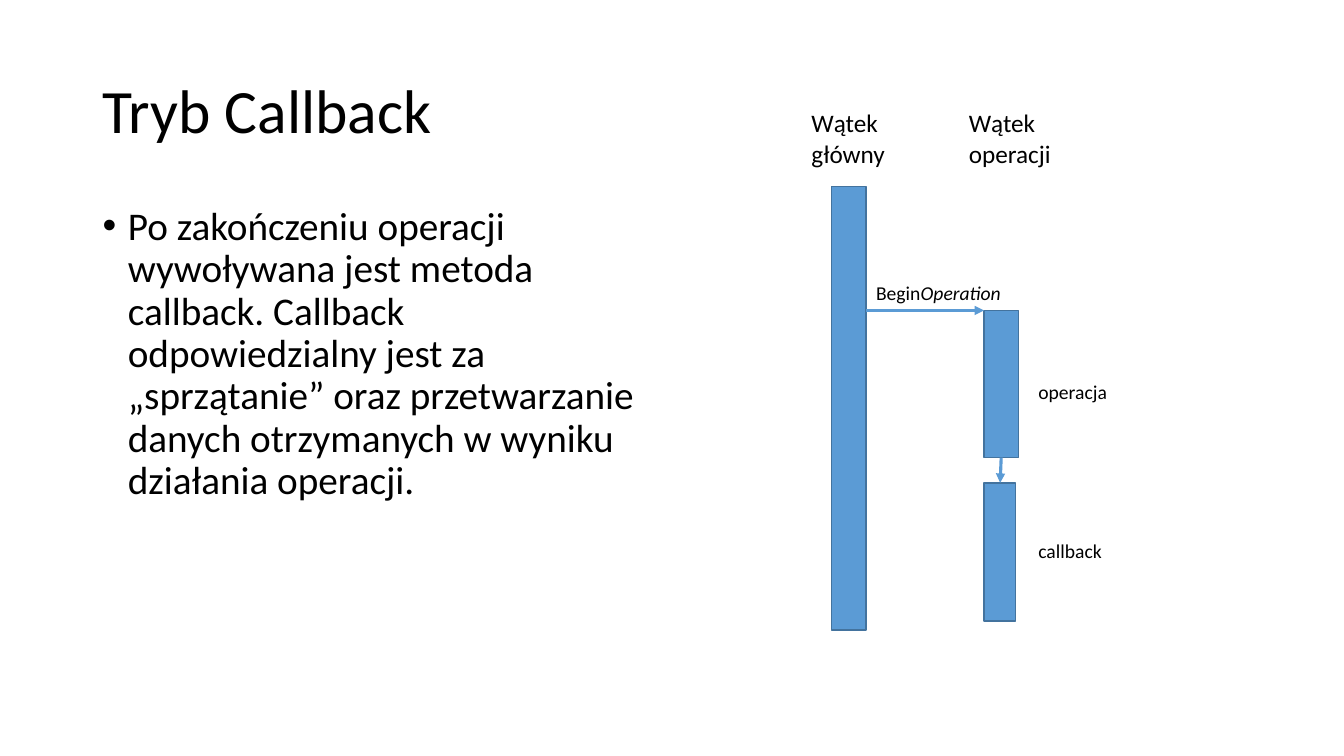
import pptx
import pptx.util
import pptx.dml.color
import pptx.enum.shapes
import pptx.enum.text
import pptx.oxml.ns
import pptx.oxml.xmlchemy
from dataclasses import dataclass

PX = 9144


@dataclass(frozen=True)
class Theme:
    font: str = "Calibri"
    ink: str = "000000"
    fill: str = "5B9BD5"
    edge: str = "43739E"
    title: int = 44
    body: int = 28
    head: int = 18
    label: int = 14
    thin: float = 1
    thick: float = 2.25


theme = Theme()


def px(*nums):
    return [pptx.util.Emu(n * PX) for n in nums]


def color(code):
    return pptx.dml.color.RGBColor.from_string(code)


def node(tag, **attrs):
    part = pptx.oxml.xmlchemy.OxmlElement(tag)
    for key, value in attrs.items():
        part.set(key, value)
    return part


def text(slide, box, lines, size, wrap=True):
    frame = slide.shapes.add_textbox(*px(*box)).text_frame
    frame.word_wrap = wrap
    for i, line in enumerate(lines):
        para = frame.add_paragraph() if i else frame.paragraphs[0]
        for words, slant in line:
            run = para.add_run()
            run.text = words
            run.font.name = theme.font
            run.font.size = pptx.util.Pt(size)
            run.font.color.rgb = color(theme.ink)
            if slant:
                run.font.italic = True
    return frame


def plain(*lines):
    return [[(line, False)] for line in lines]


def bar(slide, box):
    kind = pptx.enum.shapes.MSO_SHAPE.RECTANGLE
    shape = slide.shapes.add_shape(kind, *px(*box))
    shape.shadow.inherit = False
    shape.fill.solid()
    shape.fill.fore_color.rgb = color(theme.fill)
    shape.line.color.rgb = color(theme.edge)
    shape.line.width = pptx.util.Pt(theme.thin)


def arrow(slide, start, end):
    kind = pptx.enum.shapes.MSO_CONNECTOR.STRAIGHT
    line = slide.shapes.add_connector(kind, *px(*start, *end))
    line.line.color.rgb = color(theme.fill)
    line.line.width = pptx.util.Pt(theme.thick)
    props = line._element.spPr
    props.find(pptx.oxml.ns.qn("a:ln")).append(node("a:tailEnd", type="triangle"))
    props.append(node("a:effectLst"))


def title(slide, box, words):
    frame = text(slide, box, plain(words), theme.title)
    frame.vertical_anchor = pptx.enum.text.MSO_ANCHOR.MIDDLE
    frame.paragraphs[0].line_spacing = 0.9


def body(slide, box, words):
    frame = text(slide, box, plain(words), theme.body)
    para = frame.paragraphs[0]
    para.line_spacing = 0.9
    para.space_before = pptx.util.Pt(10)
    props = para._p.get_or_add_pPr()
    indent = px(25)[0]
    props.set("marL", str(indent))
    props.set("indent", str(-indent))
    props.append(node("a:buFont", typeface="Arial"))
    props.append(node("a:buChar", char="•"))


def diagram(slide, box):
    x, y, w, h = box
    main = x + 30
    work = x + 181
    thick = 34
    begin = y + 206
    done = begin + 146
    back = done + 25
    side = x + 225

    bar(slide, (main, y + 83, thick, h - 83))
    bar(slide, (work, begin, thick, done - begin))
    arrow(slide, (main + thick, begin), (work, begin))
    bar(slide, (work, back, 31, 137))
    arrow(slide, (work + 17, done), (work + 16, back))

    call = [[("Begin", False), ("Operation", True)]]
    text(slide, (main + thick, begin - 34, 145, 34), call, theme.label, False)
    text(slide, (x, y, 94, 71), plain("Wątek", "główny"), theme.head, False)
    text(slide, (x + 156, y, 108, 71), plain("Wątek operacji"), theme.head)
    wide = x + w - side
    for words, top, width in (("operacja", begin + 64, wide), ("callback", back + 51, wide - 5)):
        text(slide, (side, top, width, 34), plain(words), theme.label, False)


def main():
    deck = pptx.Presentation()
    deck.slide_width, deck.slide_height = px(1333, 750)
    slide = deck.slides.add_slide(deck.slide_layouts[6])
    title(slide, (92, 40, 1150, 145), "Tryb Callback")
    body(
        slide,
        (92, 200, 547, 476),
        "Po zakończeniu operacji wywoływana jest metoda callback. "
        "Callback odpowiedzialny jest za „sprzątanie” oraz "
        "przetwarzanie danych otrzymanych w wyniku działania operacji.",
    )
    diagram(slide, (795, 102, 314, 523))
    deck.save("out.pptx")


if __name__ == "__main__":
    main()
